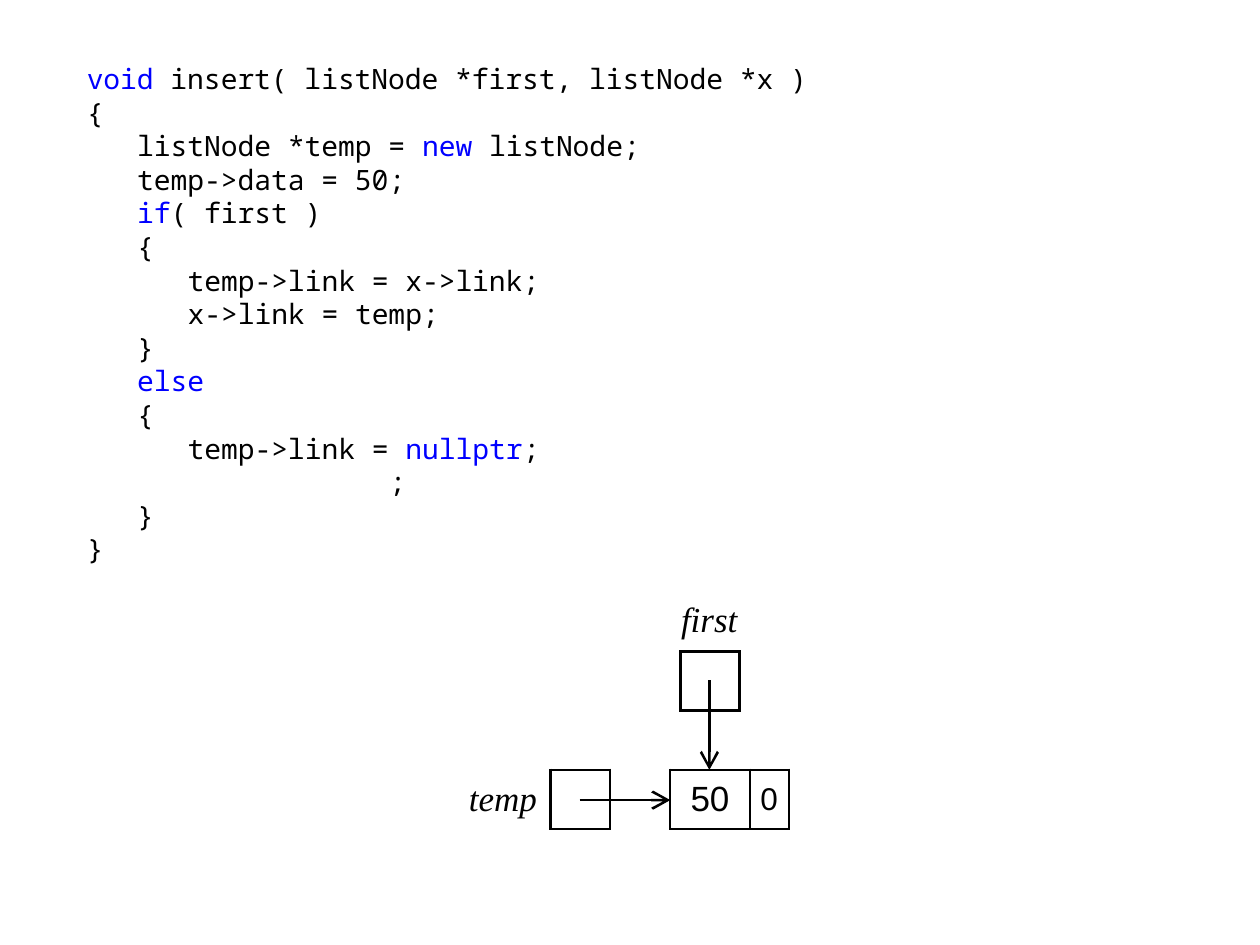
from lxml.etree import SubElement
from pptx import Presentation
from pptx.dml.color import RGBColor
from pptx.enum.shapes import MSO_CONNECTOR as Connector
from pptx.enum.text import MSO_ANCHOR as Anchor, PP_ALIGN as Align
from pptx.oxml.ns import qn
from pptx.util import Inches, Pt

BLACK = RGBColor(0, 0, 0)
BLUE = RGBColor(0, 0, 255)
KEYWORDS = ("void", "new", "if", "else", "nullptr")
COLUMN = 0.4 / 3
BOX = 0.47

presentation = Presentation()
presentation.slide_width = Inches(10)
presentation.slide_height = Inches(7.5)
slide = presentation.slides.add_slide(presentation.slide_layouts[6])
shapes = slide.shapes


def add_run(paragraph, text, size, name, color=BLACK, italic=False):
    run = paragraph.add_run()
    run.text = text
    run.font.size = Pt(size)
    run.font.name = name
    run.font.color.rgb = color
    run.font.italic = italic


def add_text_box(left, top, width, height, side_inset):
    frame = shapes.add_textbox(*map(Inches, (left, top, width, height))).text_frame
    frame.word_wrap = True
    frame.margin_left = frame.margin_right = Inches(side_inset)
    return frame


code_lines = [
    (0, ["void", " insert( listNode *first, listNode *x )"]),
    (0, ["{"]),
    (3, ["listNode *temp = ", "new", " listNode;"]),
    (3, ["temp->data = 50;"]),
    (3, ["if", "( first )"]),
    (3, ["{"]),
    (6, ["temp->link = x->link;"]),
    (6, ["x->link = temp;"]),
    (3, ["}"]),
    (3, ["else"]),
    (3, ["{"]),
    (6, ["temp->link = ", "nullptr", ";"]),
    (18, [";"]),
    (3, ["}"]),
    (0, ["}"]),
]
code = add_text_box(0.59, 0.44, 5.99, 4.1, 0.1)
code.margin_right = Inches(0.04)
for index, (indent, parts) in enumerate(code_lines):
    paragraph = code.add_paragraph() if index else code.paragraphs[0]
    properties = paragraph._p.get_or_add_pPr()
    properties.set("marL", str(Inches(indent * COLUMN)))
    properties.set("indent", "0")
    for part in parts:
        color = BLUE if part in KEYWORDS else BLACK
        add_run(paragraph, part, 16, "Noto Sans Mono", color)

labels = [
    ("first", 5.31, 4.69, 0.64, 0.08, Align.CENTER),
    ("temp", 3.57, 6.11, 0.79, 0.1, Align.RIGHT),
]
for text, left, top, width, inset, alignment in labels:
    paragraph = add_text_box(left, top, width, BOX, inset).paragraphs[0]
    paragraph.alignment = alignment
    add_run(paragraph, text, 20, "Times New Roman", italic=True)

node_tables = [
    (5.32, 6.11, [("50", 20, 0.63), ("0", 18, 0.31)]),
    (4.37, 6.11, [("", 18, BOX)]),
    (5.4, 5.17, [("", 18, BOX)]),
]
for left, top, fields in node_tables:
    width = sum(field[2] for field in fields)
    table = shapes.add_table(
        1, len(fields), Inches(left), Inches(top), Inches(width), Inches(BOX)
    ).table
    table.first_row = table.horz_banding = False
    table.rows[0].height = Inches(BOX)
    for index, (text, size, field_width) in enumerate(fields):
        table.columns[index].width = Inches(field_width)
        cell = table.cell(0, index)
        cell.margin_left = cell.margin_right = Inches(0.04)
        cell.vertical_anchor = Anchor.MIDDLE
        cell_properties = cell._tc.get_or_add_tcPr()
        for side in ("lnL", "lnR", "lnT", "lnB"):
            border = SubElement(cell_properties, qn("a:" + side), w=str(Pt(1.5)))
            border_fill = SubElement(border, qn("a:solidFill"))
            SubElement(border_fill, qn("a:srgbClr"), val=str(BLACK))
        cell.fill.background()
        paragraph = cell.text_frame.paragraphs[0]
        paragraph.alignment = Align.CENTER
        if text:
            add_run(paragraph, text, size, "Arial")

arrows = [(4.6, 6.35, 5.32, 6.35), (5.63, 5.4, 5.63, 6.11)]
for ends in arrows:
    arrow = shapes.add_connector(Connector.STRAIGHT, *map(Inches, ends))
    arrow.line.color.rgb = BLACK
    arrow.line.width = Pt(1.5)
    line = arrow.line._get_or_add_ln()
    SubElement(line, qn("a:tailEnd"), type="arrow", w="lg", len="lg")
    SubElement(arrow._element.spPr, qn("a:effectLst"))

presentation.save("out.pptx")
